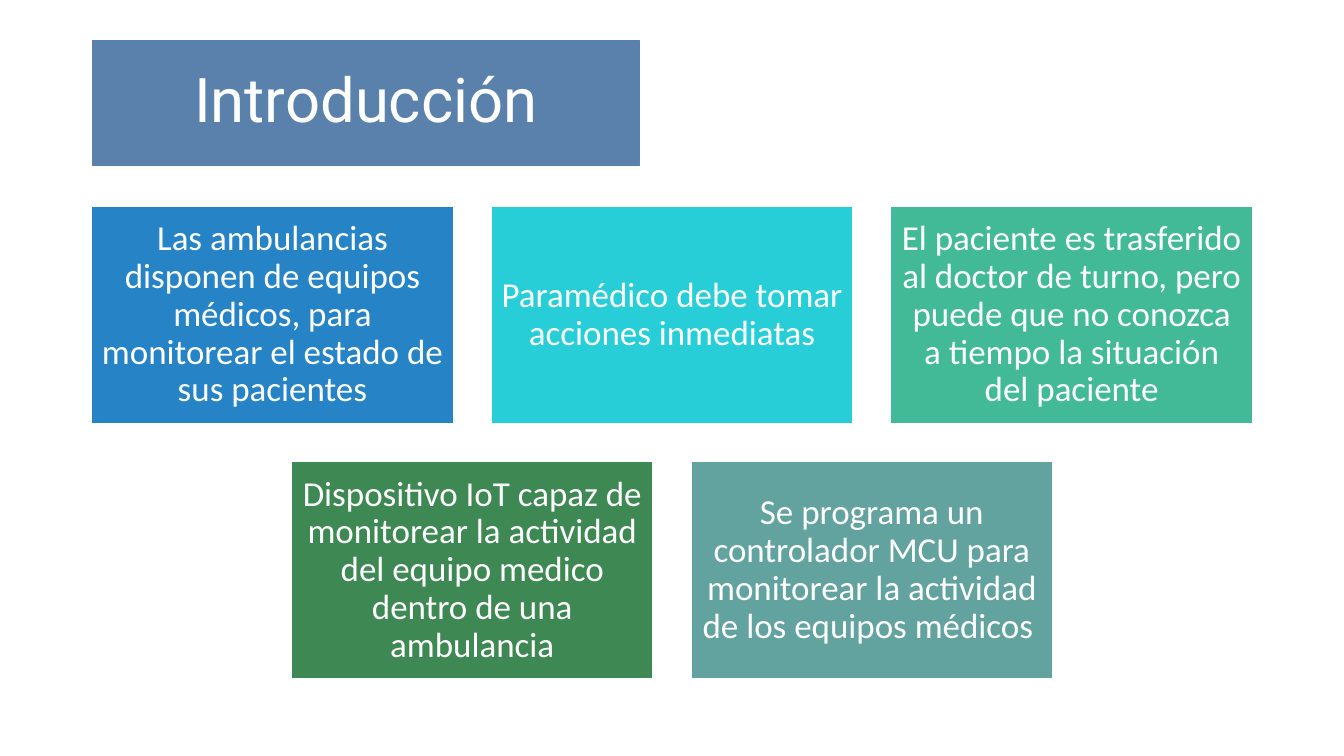
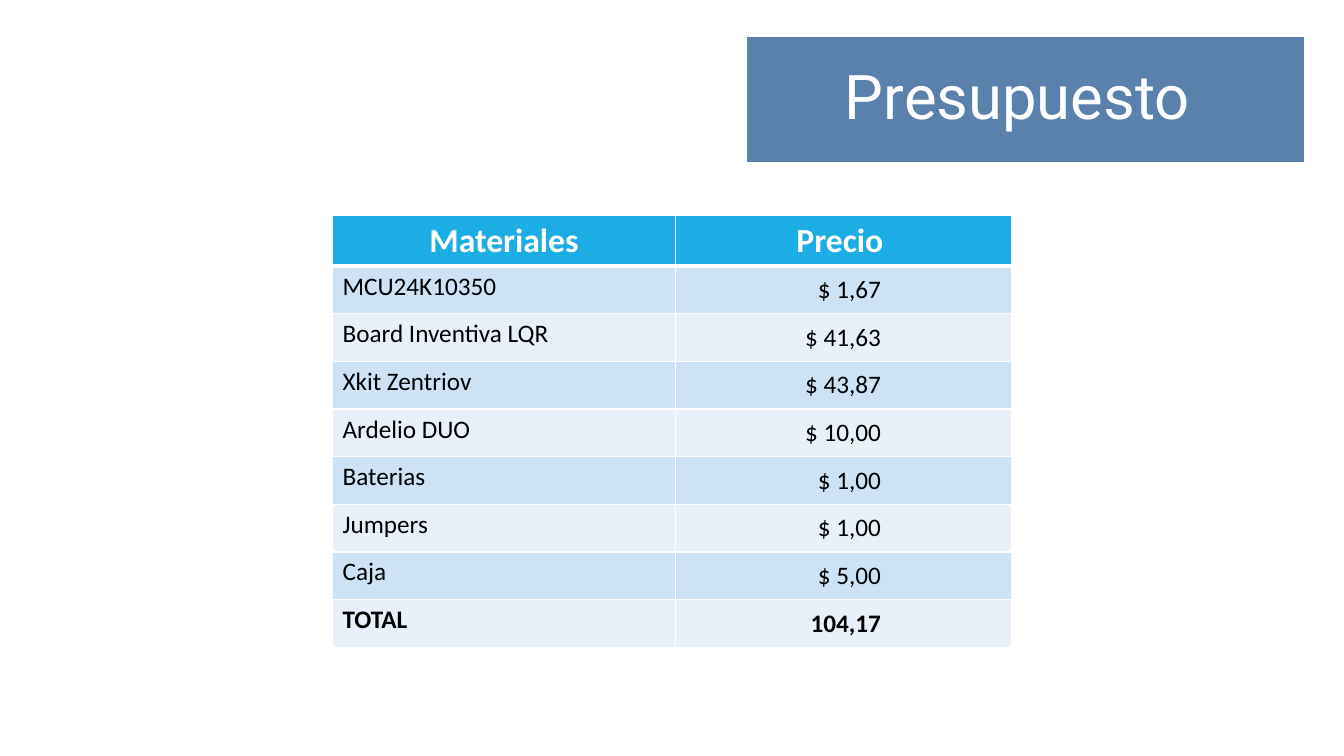
from lxml import etree
from pptx import Presentation
from pptx.dml.color import RGBColor
from pptx.enum.shapes import MSO_SHAPE
from pptx.enum.text import MSO_ANCHOR, MSO_AUTO_SIZE, PP_ALIGN
from pptx.oxml.ns import qn
from pptx.util import Cm, Pt

# Enum members
RECTANGLE = MSO_SHAPE.RECTANGLE
TOP, MIDDLE = MSO_ANCHOR.TOP, MSO_ANCHOR.MIDDLE
LEFT, CENTER, RIGHT = PP_ALIGN.LEFT, PP_ALIGN.CENTER, PP_ALIGN.RIGHT
NO_AUTOFIT = MSO_AUTO_SIZE.NONE

# Shared look
SLIDE_WIDTH, SLIDE_HEIGHT = 33.87, 19.05
TITLE_ONLY = 5
TITLE_FONT, BODY_FONT = "Roboto", "Calibri"
WHITE, BLACK = "FFFFFF", "000000"
TITLE_BLUE = "5981AB"
HEADER_BLUE = "1CADE4"
BAND_COLORS = ("CDE3F5", "E8F1FA")

# Card grid on the introduction slide
CARD_WIDTH, CARD_HEIGHT = 9.12, 5.48
CARD_GAP = 0.95
CARDS_TOP = 5.2
CARD_ROWS = (
    (
        ("2683C6", "Las ambulancias disponen de equipos médicos, para "
                   "monitorear el estado de sus pacientes"),
        ("27CED7", "Paramédico debe tomar acciones inmediatas"),
        ("42BA97", "El paciente es trasferido al doctor de turno, pero puede "
                   "que no conozca a tiempo la situación del paciente"),
    ),
    (
        ("3E8853", "Dispositivo IoT capaz de monitorear la actividad del "
                   "equipo medico dentro de una ambulancia"),
        ("62A39F", "Se programa un controlador MCU para monitorear la "
                   "actividad de los equipos médicos "),
    ),
)

# Budget table
TABLE_LEFT, TABLE_TOP = 8.38, 5.42
COLUMN_WIDTHS = (8.64, 8.48)
HEADER_HEIGHT, ROW_HEIGHT = 1.27, 1.2
PRICE_MARGIN = 3.3
BUDGET = (
    ("Materiales", "Precio "),
    ("MCU24K10350", "$ 1,67"),
    ("Board Inventiva LQR", "$ 41,63"),
    ("Xkit Zentriov", "$ 43,87"),
    ("Ardelio DUO", "$ 10,00"),
    ("Baterias", "$ 1,00"),
    ("Jumpers", "$ 1,00"),
    ("Caja", "$ 5,00"),
    ("TOTAL", "104,17"),
)


def color(value):
    return RGBColor.from_string(value)


def paint(shape, fill, line, line_width):
    shape.fill.solid()
    shape.fill.fore_color.rgb = color(fill)
    shape.line.color.rgb = color(line)
    shape.line.width = Pt(line_width)


def write(text_frame, text, size, font, text_color, align=CENTER,
          bold=False, line_spacing=None):
    paragraph = text_frame.paragraphs[0]
    paragraph.alignment = align
    paragraph.line_spacing = line_spacing
    run = paragraph.add_run()
    run.text = text
    run.font.name = font
    run.font.size = Pt(size)
    run.font.bold = bold
    run.font.color.rgb = color(text_color)


def add_titled_slide(presentation, text, left, top, width, height):
    """Add a slide whose title sits in a filled band."""
    layout = presentation.slide_layouts[TITLE_ONLY]
    slide = presentation.slides.add_slide(layout)
    title = slide.shapes.title
    title.left, title.top = Cm(left), Cm(top)
    title.width, title.height = Cm(width), Cm(height)
    paint(title, TITLE_BLUE, TITLE_BLUE, 0.75)
    title.text_frame.auto_size = NO_AUTOFIT
    title.text_frame.vertical_anchor = MIDDLE
    write(title.text_frame, text, 44, TITLE_FONT, WHITE, line_spacing=0.9)
    return slide


def add_card(slide, left, top, fill, text):
    card = slide.shapes.add_shape(
        RECTANGLE, Cm(left), Cm(top), Cm(CARD_WIDTH), Cm(CARD_HEIGHT))
    card.shadow.inherit = False
    paint(card, fill, WHITE, 1)
    frame = card.text_frame
    frame.word_wrap = True
    frame.vertical_anchor = MIDDLE
    frame.margin_left = frame.margin_right = Cm(0.25)
    frame.margin_top = frame.margin_bottom = Cm(0.25)
    write(frame, text, 25, BODY_FONT, WHITE, line_spacing=0.9)


def add_card_rows(slide):
    """Centre each row of cards on the slide."""
    for row_index, cards in enumerate(CARD_ROWS):
        row_width = len(cards) * (CARD_WIDTH + CARD_GAP) - CARD_GAP
        row_left = (SLIDE_WIDTH - row_width) / 2
        top = CARDS_TOP + row_index * (CARD_HEIGHT + CARD_GAP)
        for index, (fill, text) in enumerate(cards):
            left = row_left + index * (CARD_WIDTH + CARD_GAP)
            add_card(slide, left, top, fill, text)


def set_borders(cell, widths):
    """Draw white borders; widths maps each side to points."""
    properties = cell._tc.get_or_add_tcPr()
    for side in ("L", "R", "T", "B"):
        line = etree.SubElement(
            properties, qn(f"a:ln{side}"), w=str(Pt(widths[side])))
        fill = etree.SubElement(line, qn("a:solidFill"))
        etree.SubElement(fill, qn("a:srgbClr"), val=WHITE)


def format_cell(cell, text, row, column):
    is_header = row == 0
    is_price = column == 1 and not is_header
    is_total = row == len(BUDGET) - 1
    widths = {"L": 1, "R": 1, "T": 3 if row == 1 else 1,
              "B": 3 if is_header else 1}
    set_borders(cell, widths)
    cell.fill.solid()
    fill = HEADER_BLUE if is_header else BAND_COLORS[(row - 1) % 2]
    cell.fill.fore_color.rgb = color(fill)
    cell.vertical_anchor = MIDDLE if is_price else TOP
    if is_price:
        cell.margin_right = Cm(PRICE_MARGIN)
    align = CENTER if is_header else RIGHT if is_price else LEFT
    write(cell.text_frame, text, 24 if is_header else 18, BODY_FONT,
          WHITE if is_header else BLACK, align, is_header or is_total)


def add_budget_table(slide):
    height = HEADER_HEIGHT + ROW_HEIGHT * (len(BUDGET) - 1)
    table = slide.shapes.add_table(
        len(BUDGET), len(COLUMN_WIDTHS), Cm(TABLE_LEFT), Cm(TABLE_TOP),
        Cm(sum(COLUMN_WIDTHS)), Cm(height)).table
    for column, width in zip(table.columns, COLUMN_WIDTHS):
        column.width = Cm(width)
    for row, values in enumerate(BUDGET):
        table.rows[row].height = Cm(ROW_HEIGHT if row else HEADER_HEIGHT)
        for column, text in enumerate(values):
            format_cell(table.cell(row, column), text, row, column)


def main():
    presentation = Presentation()
    presentation.slide_width = Cm(SLIDE_WIDTH)
    presentation.slide_height = Cm(SLIDE_HEIGHT)

    # Introduction
    introduction = add_titled_slide(
        presentation, "Introducción", 2.34, 1.02, 13.77, 3.14)
    add_card_rows(introduction)

    # Budget
    budget = add_titled_slide(
        presentation, "Presupuesto ", 18.83, 0.94, 14.02, 3.14)
    add_budget_table(budget)

    presentation.save("out.pptx")


if __name__ == "__main__":
    main()
